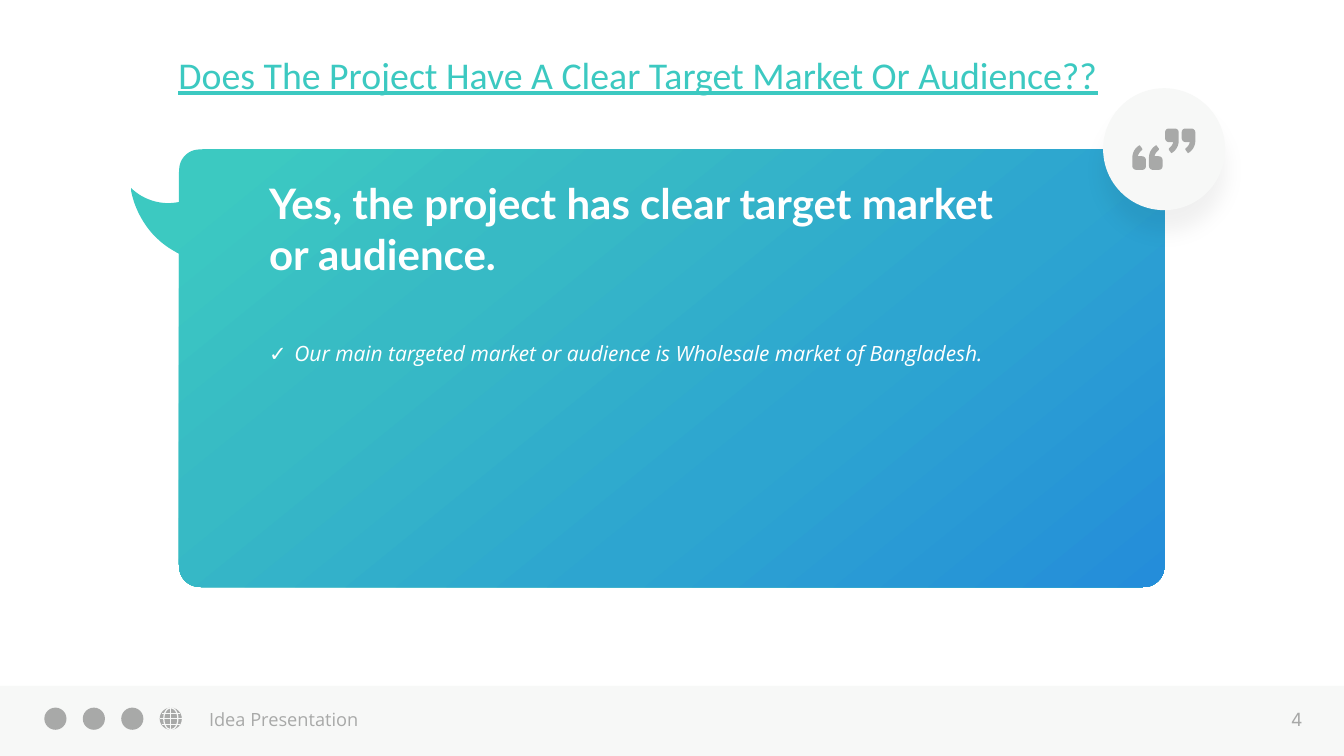
"""Build the target market slide with its quote bubble and footer."""
from pptx import Presentation
from pptx.dml.color import RGBColor
from pptx.enum import shapes as kinds, text as txt
from pptx.oxml import parse_xml
from pptx.oxml.ns import nsdecls, qn
from pptx.util import Inches, Pt

TEAL, GREY, PALE, WHITE = "3CC9C1", "A8A9A8", "F7F8F7", "FFFFFF"
rgb = RGBColor.from_string

deck = Presentation()
deck.slide_width, deck.slide_height = Inches(26.67), Inches(15)
slide = deck.slides.add_slide(deck.slide_layouts[1])
shapes = slide.shapes


def trace(outlines):
    """Draw closed outlines made of lines (2 numbers) and cubic curves (6 numbers)."""
    builder = None
    for start, *segments in outlines:
        points, (x, y) = [], start
        for segment in segments:
            if len(segment) == 2:
                points.append(segment)
            else:
                x1, y1, x2, y2, x3, y3 = segment
                for t in [step / 12 for step in range(1, 13)]:
                    a, b, c, d = (1 - t) ** 3, 3 * t * (1 - t) ** 2, 3 * t * t * (1 - t), t ** 3
                    points.append((a * x + b * x1 + c * x2 + d * x3,
                                   a * y + b * y1 + c * y2 + d * y3))
            x, y = segment[-2:]
        first = [Inches(v) for v in start]
        if builder is None:
            builder = shapes.build_freeform(*first, scale=1.0)
        else:
            builder.move_to(*first)
        builder.add_line_segments([(Inches(px), Inches(py)) for px, py in points], close=True)
    outline = builder.convert_to_shape()
    outline.shadow.inherit = False
    outline.line.fill.background()
    return outline


def write(box, place, words, font, size, colour, anchor=txt.MSO_ANCHOR.TOP,
          align=txt.PP_ALIGN.LEFT):
    """Place a text shape, bring it to the front and add its only run."""
    shapes.element.append(box.element)
    box.left, box.top, box.width, box.height = [Inches(v) for v in place]
    frame = box.text_frame
    frame.word_wrap, frame.auto_size = True, txt.MSO_AUTO_SIZE.NONE
    frame.vertical_anchor = anchor
    frame.margin_left = frame.margin_right = Inches(0.1)
    frame.margin_top = frame.margin_bottom = Inches(0.1)
    paragraph = frame.paragraphs[0]
    paragraph.alignment, paragraph.space_before = align, Pt(0)
    run = paragraph.add_run()
    run.text = words
    run.font.name, run.font.size = font, Pt(size)
    run.font.color.rgb = rgb(colour)
    return paragraph, run


discs = [(kinds.MSO_SHAPE.RECTANGLE, -0.01, 13.61, 26.68, 1.39, PALE)]
discs += [(kinds.MSO_SHAPE.OVAL, 0.88 + 0.763 * i, 14.04, 0.44, 0.44, GREY) for i in range(4)]
for kind, left, top, width, height, colour in discs:
    part = shapes.add_shape(kind, *[Inches(v) for v in (left, top, width, height)])
    part.shadow.inherit = False
    part.fill.solid()
    part.fill.fore_color.rgb = rgb(colour)
    part.line.fill.background()

meridian = shapes.add_shape(kinds.MSO_SHAPE.OVAL, Inches(3.25), Inches(14.04),
                            Inches(0.28), Inches(0.44))
meridian.shadow.inherit = False
meridian.fill.background()
globe_lines = [meridian]
for x1, y1, x2, y2 in [(3.39, 14.04, 3.39, 14.48), (3.17, 14.26, 3.61, 14.26),
                       (3.21, 14.15, 3.57, 14.15), (3.21, 14.38, 3.57, 14.38)]:
    parallel = shapes.add_connector(kinds.MSO_CONNECTOR.STRAIGHT,
                                    *[Inches(v) for v in (x1, y1, x2, y2)])
    parallel.element.spPr.append(parse_xml(f'<a:effectLst {nsdecls("a")}/>'))
    globe_lines.append(parallel)
for globe_line in globe_lines:
    globe_line.line.color.rgb = rgb(PALE)
    globe_line.line.width = Pt(1.75)

write(shapes.add_textbox(0, 0, 0, 0), (4.05, 13.95, 3.67, 0.64),
      "Idea Presentation", "Open Sans", 26, GREY)

bubble = trace([[
    (4.21, 2.96), (4.01, 2.96, 3.9, 2.96, 3.82, 2.99), (3.71, 3.03, 3.62, 3.12, 3.58, 3.23),
    (3.55, 3.31, 3.55, 3.42, 3.55, 3.62), (3.55, 4.01), (3.48, 4.02, 3.41, 4.03, 3.34, 4.03),
    (3.06, 4.03, 2.79, 3.92, 2.59, 3.72), (2.64, 4.05, 2.79, 4.36, 3, 4.61),
    (3.16, 4.79, 3.34, 4.93, 3.55, 5.03), (3.55, 11),
    (3.55, 11.19, 3.55, 11.3, 3.58, 11.38), (3.62, 11.49, 3.71, 11.58, 3.82, 11.62),
    (3.9, 11.65, 4.01, 11.65, 4.21, 11.65), (22.46, 11.65),
    (22.65, 11.65, 22.77, 11.65, 22.84, 11.62), (22.95, 11.58, 23.04, 11.49, 23.08, 11.38),
    (23.11, 11.3, 23.11, 11.19, 23.11, 11), (23.11, 3.62),
    (23.11, 3.42, 23.11, 3.31, 23.08, 3.23), (23.04, 3.12, 22.95, 3.03, 22.84, 2.99),
    (22.77, 2.96, 22.65, 2.96, 22.46, 2.96)]])
bubble.fill.gradient()
bubble.fill.gradient_angle = 360 - 51
stops = bubble.element.spPr.find(".//" + qn("a:gsLst"))
stops.clear()
for position, colour in [(8, TEAL), (32, "37BAC5"), (64, "2DA5D0"), (100, "248DDA")]:
    stops.append(parse_xml(f'<a:gs {nsdecls("a")} pos="{position * 1000}">'
                           f'<a:srgbClr val="{colour}"/></a:gs>'))

badge = shapes.add_shape(kinds.MSO_SHAPE.OVAL, Inches(21.89), Inches(1.75),
                         Inches(2.42), Inches(2.42))
badge.fill.solid()
badge.fill.fore_color.rgb = rgb(PALE)
badge.line.fill.background()
badge.element.spPr.append(parse_xml(
    f'<a:effectLst {nsdecls("a")}><a:outerShdw blurRad="{Pt(30)}" dist="{Pt(30)}" '
    'dir="5400000" algn="ctr" rotWithShape="0"><a:srgbClr val="000000">'
    '<a:alpha val="5000"/></a:srgbClr></a:outerShdw></a:effectLst>'))

write(shapes.add_textbox(0, 0, 0, 0), (25.3, 13.95, 0.87, 0.64), "4", "Inter", 26, GREY,
      txt.MSO_ANCHOR.MIDDLE, txt.PP_ALIGN.CENTER)
_, answer = write(shapes.add_textbox(0, 0, 0, 0), (5.24, 3.43, 15.23, 3.23),
                  "Yes, the project has clear target market or audience.", "Lato", 60, WHITE)
answer.font.bold = True

point, audience = write(
    slide.placeholders[1], (5.24, 6.66, 15.81, 1.21),
    "Our main targeted market or audience is Wholesale market of Bangladesh.",
    "Open Sans", 30, WHITE)
audience.font.italic = True
properties = point._p.get_or_add_pPr()
properties.set("marL", str(Inches(0.5)))
properties.set("indent", str(Inches(-0.5)))
properties.append(parse_xml(f'<a:buFont {nsdecls("a")} typeface="Open Sans"/>'))
properties.append(parse_xml(f'<a:buChar {nsdecls("a")} char="\u2713"/>'))

mark = [(0.08, 0), (0.03, 0, 0, 0.03, 0, 0.08), (0, 0.19), (0, 0.23, 0.03, 0.27, 0.08, 0.27),
        (0.16, 0.27), (0.15, 0.32, 0.12, 0.36, 0.08, 0.39),
        (0.07, 0.4, 0.07, 0.42, 0.08, 0.43), (0.11, 0.47),
        (0.12, 0.49, 0.13, 0.49, 0.14, 0.48), (0.22, 0.43, 0.27, 0.34, 0.27, 0.24),
        (0.27, 0.08), (0.27, 0.03, 0.23, 0, 0.19, 0)]
quotes = []
for left, top, turn in [(23.12, 2.55, 1), (23.45, 2.55, 1), (22.74, 3.37, -1), (23.07, 3.37, -1)]:
    quotes.append([tuple((left, top)[i % 2] + turn * v for i, v in enumerate(segment))
                   for segment in mark])
quote_marks = trace(quotes)
quote_marks.fill.solid()
quote_marks.fill.fore_color.rgb = rgb(GREY)

_, question = write(shapes.title, (3.44, 0.92, 18.94, 1.72),
                    "Does The Project Have A Clear Target Market Or Audience??",
                    "Calibri", 54, TEAL)
question.font.underline = True

deck.save("out.pptx")
